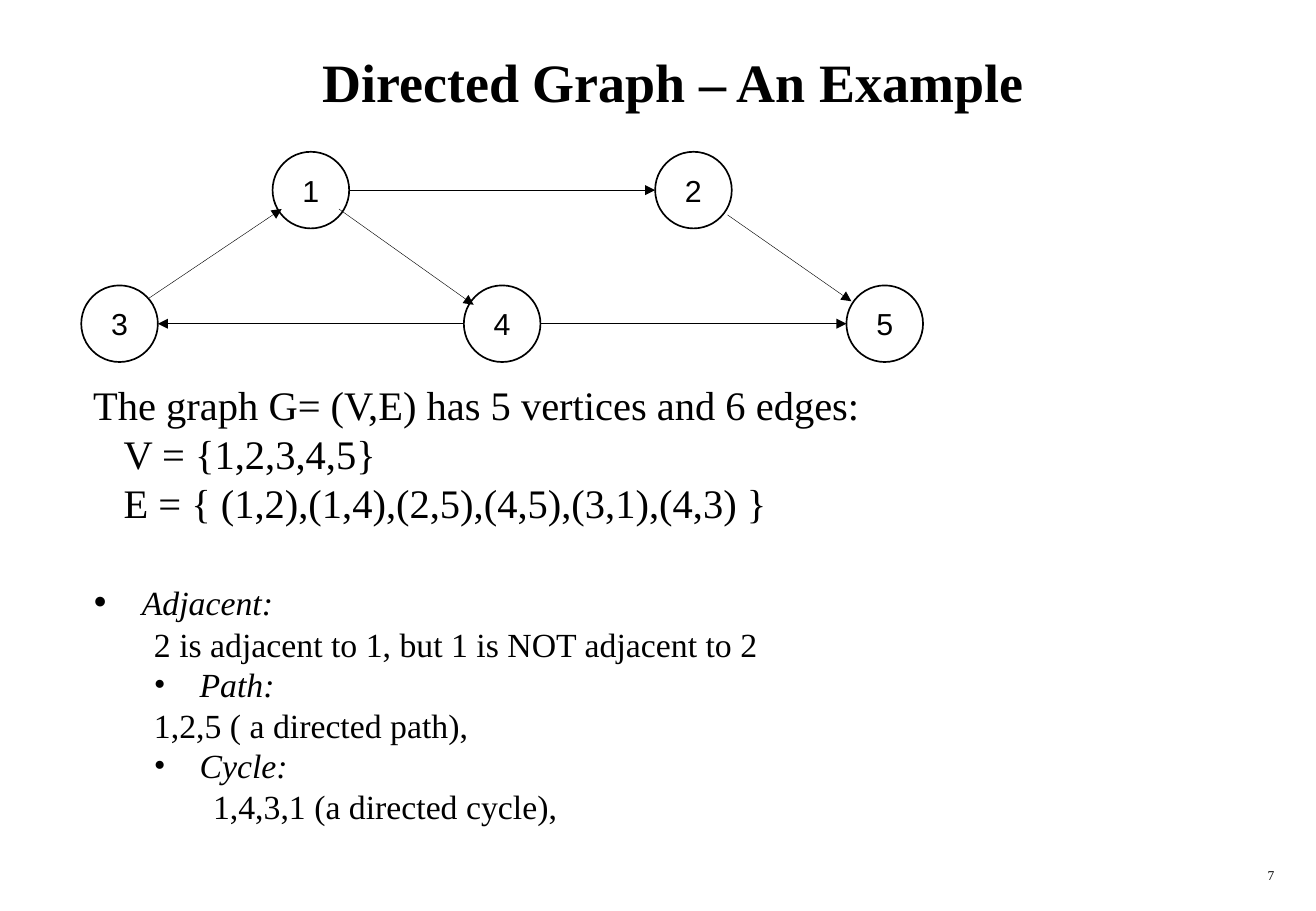
"""Build the directed graph example slide."""
import dataclasses

import lxml.etree
import pptx
import pptx.dml.color
import pptx.enum.shapes
import pptx.enum.text
import pptx.oxml.ns
import pptx.util

Pt = pptx.util.Pt
Align = pptx.enum.text.PP_ALIGN
Anchor = pptx.enum.text.MSO_ANCHOR


@dataclasses.dataclass(frozen=True)
class Theme:
    ink: str = "000000"
    paper: str = "FFFFFF"
    serif: str = "Times New Roman"
    sans: str = "Arial"
    title_size: float = 32
    body_size: float = 24
    detail_size: float = 20
    node_size: float = 18
    number_size: float = 8
    node_line: float = 1
    edge_line: float = 0.25
    line_factor: float = 1.2


class GraphSlide:
    def __init__(self, slide, theme):
        self.slide = slide
        self.theme = theme
        self.ink = pptx.dml.color.RGBColor.from_string(theme.ink)
        fill = slide.background.fill
        fill.solid()
        fill.fore_color.rgb = pptx.dml.color.RGBColor.from_string(theme.paper)

    def run(self, paragraph, text, size, font=None, bold=False, italic=False):
        run = paragraph.add_run()
        run.text = text
        run.font.name = font or self.theme.serif
        run.font.size = Pt(size)
        run.font.bold = bold
        run.font.italic = italic
        run.font.color.rgb = self.ink

    def text_box(self, left, top, width, height, anchor=Anchor.TOP):
        frame = self.slide.shapes.add_textbox(
            Pt(left), Pt(top), Pt(width), Pt(height)).text_frame
        frame.word_wrap = True
        frame.vertical_anchor = anchor
        return frame

    def label(self, box, text, size, align, anchor=Anchor.TOP, bold=False):
        paragraph = self.text_box(*box, anchor).paragraphs[0]
        paragraph.alignment = align
        self.run(paragraph, text, size, bold=bold)

    def node(self, name, center):
        x, y = center
        shape = self.slide.shapes.add_shape(
            pptx.enum.shapes.MSO_SHAPE.OVAL, Pt(x - RADIUS), Pt(y - RADIUS),
            Pt(2 * RADIUS), Pt(2 * RADIUS))
        shape.shadow.inherit = False
        shape.fill.background()
        shape.line.color.rgb = self.ink
        shape.line.width = Pt(self.theme.node_line)
        frame = shape.text_frame
        frame.word_wrap = False
        frame.vertical_anchor = Anchor.MIDDLE
        paragraph = frame.paragraphs[0]
        paragraph.alignment = Align.CENTER
        self.run(paragraph, name, self.theme.node_size, self.theme.sans)

    def edge(self, start, end):
        connector = self.slide.shapes.add_connector(
            pptx.enum.shapes.MSO_CONNECTOR.STRAIGHT,
            *(Pt(value) for value in (*start, *end)))
        connector.line.color.rgb = self.ink
        connector.line.width = Pt(self.theme.edge_line)
        qn = pptx.oxml.ns.qn
        line = connector.line._get_or_add_ln()
        lxml.etree.SubElement(line, qn("a:tailEnd"), type="triangle")
        lxml.etree.SubElement(connector._element.spPr, qn("a:effectLst"))

    def body(self, box, lines):
        frame = self.text_box(*box)
        for index, line in enumerate(lines):
            paragraph = frame.paragraphs[0] if index == 0 else frame.add_paragraph()
            paragraph.line_spacing = Pt(line.height or line.size * self.theme.line_factor)
            paragraph.space_before = Pt(line.before)
            properties = paragraph._p.get_or_add_pPr()
            properties.set("marL", str(Pt(line.left + line.hang)))
            properties.set("indent", str(-Pt(line.hang)))
            if line.hang:
                self.bullet(properties, line.bullet_percent)
            self.run(paragraph, line.text, line.size, italic=line.hang > 0)

    def bullet(self, properties, percent):
        qn = pptx.oxml.ns.qn
        color = lxml.etree.SubElement(properties, qn("a:buClr"))
        lxml.etree.SubElement(color, qn("a:srgbClr"), val=self.theme.ink)
        lxml.etree.SubElement(properties, qn("a:buSzPct"), val=str(percent * 1000))
        lxml.etree.SubElement(properties, qn("a:buFont"), typeface=self.theme.serif)
        lxml.etree.SubElement(properties, qn("a:buChar"), char="•")


@dataclasses.dataclass(frozen=True)
class Line:
    text: str
    size: float
    left: float = 0
    hang: float = 0
    before: float = 0
    height: float = 0
    bullet_percent: int = 100


THEME = Theme()
RADIUS = 22.7
FIRST_CENTER = (70.9, 112.7)
COLUMN_STEP, ROW_STEP = 113.4, 79.2
NODES = {"1": (1, 0), "4": (2, 1), "2": (3, 0), "5": (4, 1), "3": (0, 1)}
EDGES = [
    ("1", "4", (16.6, 11.2), (-16.9, -11.2)),
    ("1", "2", (RADIUS, 0), (-RADIUS, 0)),
    ("2", "5", (20.2, 14.7), (-19.8, -13.3)),
    ("4", "3", (-RADIUS, 0), (RADIUS, 0)),
    ("4", "5", (RADIUS, 0), (-RADIUS, 0)),
    ("3", "1", (16.9, -14.8), (-17.3, 11.2)),
]
BODY, DETAIL = THEME.body_size, THEME.detail_size
LINES = [
    Line("The graph G= (V,E) has 5 vertices and 6 edges:", BODY),
    Line("V = {1,2,3,4,5}", BODY, left=18),
    Line("E = { (1,2),(1,4),(2,5),(4,5),(3,1),(4,3) }", BODY, left=18),
    Line("Adjacent:", DETAIL, hang=28.8, before=28, height=28.8, bullet_percent=120),
    Line("2 is adjacent to 1, but 1 is NOT adjacent to 2", DETAIL, left=36, before=0.8),
    Line("Path:", DETAIL, left=36, hang=27),
    Line("1,2,5 ( a directed path),", DETAIL, left=36),
    Line("Cycle:", DETAIL, left=36, hang=27),
    Line("1,4,3,1 (a directed cycle),", DETAIL, left=71),
]


def shift(point, offset):
    return point[0] + offset[0], point[1] + offset[1]


def main():
    presentation = pptx.Presentation()
    presentation.slide_width, presentation.slide_height = Pt(780.13), Pt(540)
    slide = presentation.slides.add_slide(presentation.slide_layouts[6])
    graph = GraphSlide(slide, THEME)
    graph.label((599.8, 510.1, 162.7, 18), "7", THEME.number_size, Align.RIGHT)
    graph.label((30.2, 12.2, 738, 72), "Directed Graph – An Example",
                THEME.title_size, Align.CENTER, Anchor.MIDDLE, bold=True)
    centers = {name: shift(FIRST_CENTER, (column * COLUMN_STEP, row * ROW_STEP))
               for name, (column, row) in NODES.items()}
    for source, target, leave, arrive in EDGES:
        graph.edge(shift(centers[source], leave), shift(centers[target], arrive))
    for name, center in centers.items():
        graph.node(name, center)
    graph.body((48.2, 222, 480, 271.4), LINES)
    presentation.save("out.pptx")


if __name__ == "__main__":
    main()
